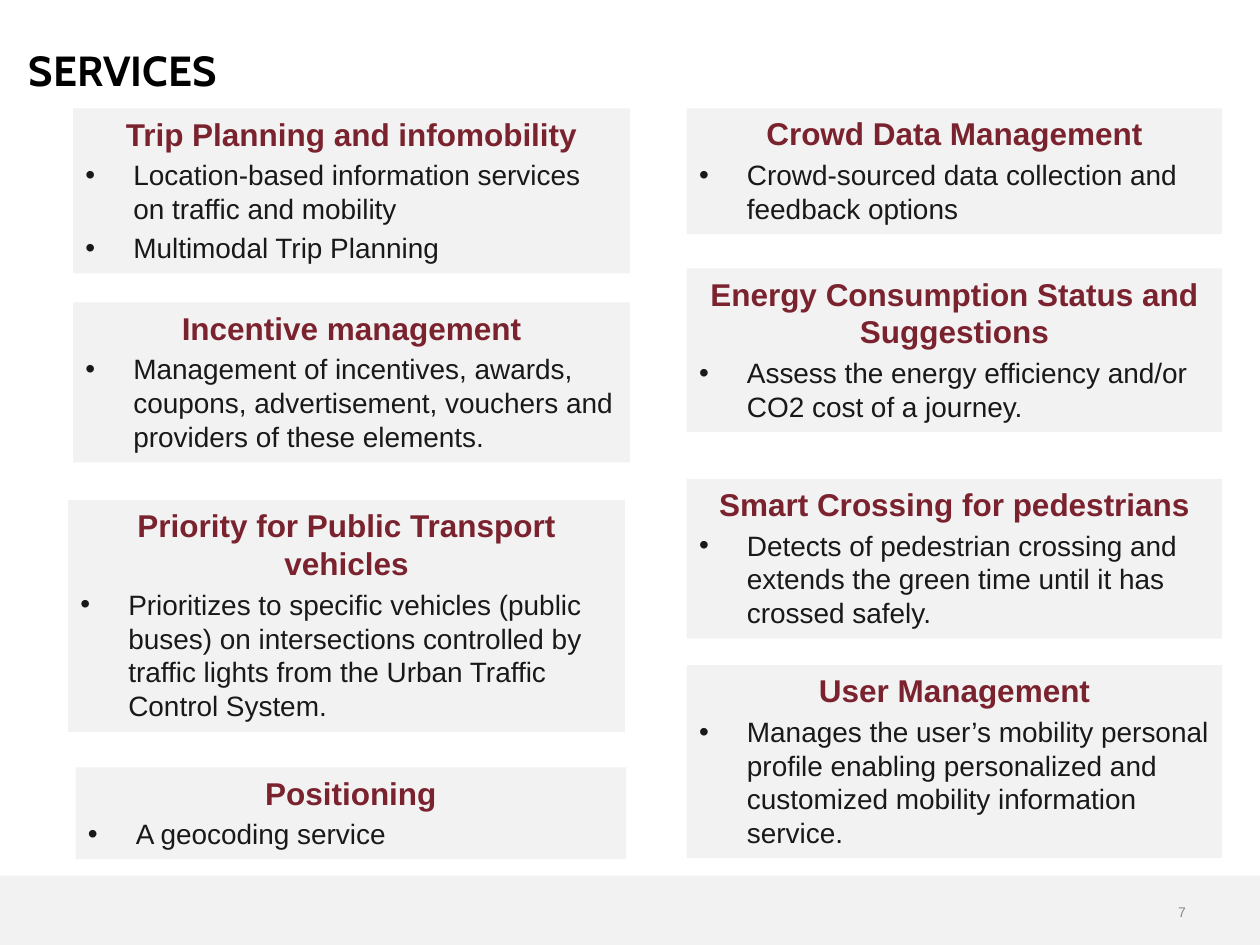
from lxml.etree import SubElement
from pptx import Presentation
from pptx.dml.color import RGBColor
from pptx.enum.shapes import MSO_SHAPE
from pptx.enum.text import MSO_ANCHOR, PP_ALIGN
from pptx.oxml.ns import qn
from pptx.util import Inches, Pt

COLORS = {"panel": "F2F2F2", "heading": "7A232F", "body": "191919",
          "title": "000000", "number": "898989"}
FORMATS = {
    "title": {"name": "Cabin", "size": Pt(24), "bold": True},
    "heading": {"name": "Arial", "size": Pt(18), "bold": True},
    "body": {"name": "Arial", "size": Pt(16), "bold": False},
    "number": {"name": "Arial", "size": Pt(8), "bold": False},
}
BULLET_INDENT = Inches(0.38)
TITLE = "SERVICES"
PAGE_NUMBER = "7"
SERVICES = [
    ((0.58, 0.86, 4.42, 1.31), "Trip Planning and infomobility",
     ["Location-based information services on traffic and mobility",
      "Multimodal Trip Planning"]),
    ((0.58, 2.4, 4.42, 1.27), "Incentive management",
     ["Management of incentives, awards, coupons, advertisement, vouchers "
      "and providers of these elements."]),
    ((0.54, 3.97, 4.42, 1.84), "Priority for Public Transport vehicles",
     ["Prioritizes to specific vehicles (public buses) on intersections "
      "controlled by traffic lights from the Urban Traffic Control System."]),
    ((0.6, 6.09, 4.37, 0.73), "Positioning", ["A geocoding service"]),
    ((5.45, 0.86, 4.25, 1), "Crowd Data Management",
     ["Crowd-sourced data collection and feedback options"]),
    ((5.45, 2.13, 4.25, 1.3), "Energy Consumption Status and Suggestions",
     ["Assess the energy efficiency and/or CO2 cost of a journey."]),
    ((5.45, 3.8, 4.25, 1.27), "Smart Crossing for pedestrians",
     ["Detects of pedestrian crossing and extends the green time until it "
      "has crossed safely."]),
    ((5.45, 5.28, 4.25, 1.53), "User Management",
     ["Manages the user’s mobility personal profile enabling personalized "
      "and customized mobility information service."]),
]


def write(paragraph, text, style, alignment):
    paragraph.alignment = alignment
    run = paragraph.add_run()
    run.text = text
    for attribute, value in FORMATS[style].items():
        setattr(run.font, attribute, value)
    run.font.color.rgb = RGBColor.from_string(COLORS[style])


def add_panel(slide, box):
    shape = slide.shapes.add_shape(MSO_SHAPE.RECTANGLE, *map(Inches, box))
    shape.shadow.inherit = False
    shape.fill.solid()
    shape.fill.fore_color.rgb = RGBColor.from_string(COLORS["panel"])
    shape.line.fill.background()
    return shape


def add_bullet(frame, text):
    paragraph = frame.add_paragraph()
    properties = paragraph._p.get_or_add_pPr()
    properties.set("marL", str(BULLET_INDENT))
    properties.set("indent", str(-BULLET_INDENT))
    SubElement(properties, qn("a:buFont")).set("typeface", "Arial")
    SubElement(properties, qn("a:buChar")).set("char", "•")
    paragraph.space_before = Pt(3.2)
    write(paragraph, text, "body", PP_ALIGN.LEFT)


def add_service(slide, box, heading, bullets):
    frame = add_panel(slide, box).text_frame
    frame.word_wrap = True
    frame.vertical_anchor = MSO_ANCHOR.TOP
    write(frame.paragraphs[0], heading, "heading", PP_ALIGN.CENTER)
    for bullet in bullets:
        add_bullet(frame, bullet)


def place_title(title):
    box = {"left": 0.13, "top": 0.3, "width": 8.21, "height": 0.5}
    for attribute, value in box.items():
        setattr(title, attribute, Inches(value))
    title.text_frame.vertical_anchor = MSO_ANCHOR.TOP
    write(title.text_frame.paragraphs[0], TITLE, "title", PP_ALIGN.LEFT)


def add_page_number(slide):
    box = map(Inches, (7.18, 7.04, 2.33, 0.4))
    frame = slide.shapes.add_textbox(*box).text_frame
    frame.word_wrap = True
    frame.vertical_anchor = MSO_ANCHOR.MIDDLE
    write(frame.paragraphs[0], PAGE_NUMBER, "number", PP_ALIGN.RIGHT)


def main():
    """Build the services slide."""
    presentation = Presentation()
    presentation.slide_width = Inches(10)
    presentation.slide_height = Inches(7.5)
    slide = presentation.slides.add_slide(presentation.slide_layouts[5])
    add_panel(slide, (0, 6.95, 10, 0.55))
    add_page_number(slide)
    place_title(slide.shapes.title)
    for service in SERVICES:
        add_service(slide, *service)
    presentation.save("out.pptx")


if __name__ == "__main__":
    main()
